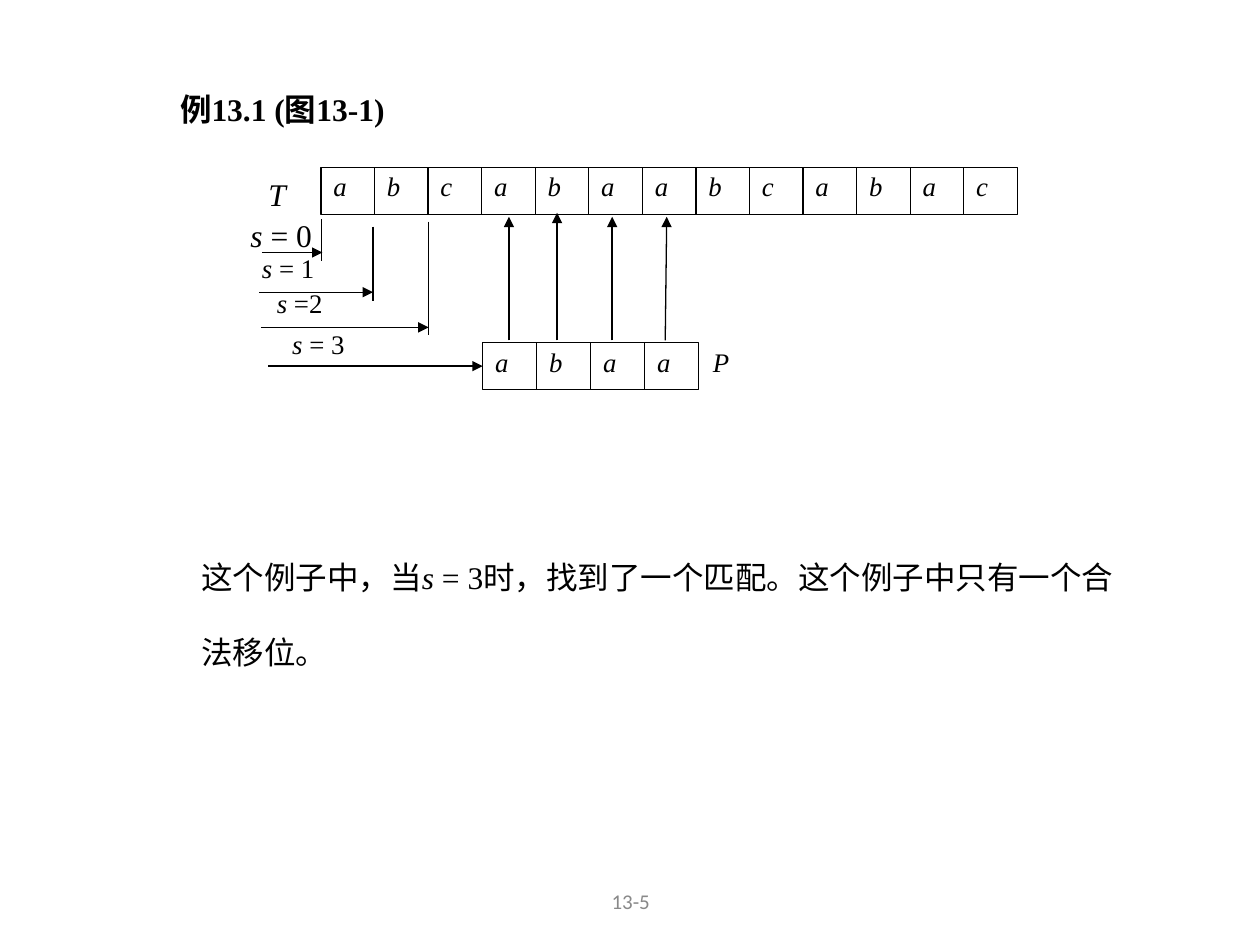
from pptx import Presentation
from pptx.dml.color import RGBColor
from pptx.enum.shapes import MSO_CONNECTOR as Link, MSO_SHAPE as Form
from pptx.enum.text import MSO_ANCHOR as Anchor, PP_ALIGN as Align
from pptx.oxml.ns import qn
from pptx.util import Cm, Pt
from lxml.etree import SubElement

BLACK = RGBColor(0x00, 0x00, 0x00)
GRAY = RGBColor(0x89, 0x89, 0x89)


def write(shape, *runs, size=18, font="Times New Roman", color=BLACK, bold=False,
          space=1.0, align=Align.LEFT, anchor=Anchor.TOP):
    """Fill a shape with one paragraph; each run is a (text, italic) pair."""
    frame = shape.text_frame
    frame.word_wrap = True
    frame.vertical_anchor = anchor
    para = frame.paragraphs[0]
    para.alignment = align
    para.line_spacing = space
    for text, slant in runs:
        run = para.add_run()
        run.text = text
        face = run.font
        face.name, face.size = font, Pt(size)
        face.bold, face.italic = bold, slant
        face.color.rgb = color


class Board:
    ink = BLACK
    width = Pt(0.75)
    small = {"size": 15.3, "space": 0.9}

    def __init__(self, slide):
        self.slide = slide

    def label(self, box, *runs, **style):
        area = self.slide.shapes.add_textbox(*map(Cm, box))
        write(area, *runs, **style)

    def cell(self, box, text):
        rect = self.slide.shapes.add_shape(Form.RECTANGLE, *map(Cm, box))
        rect.shadow.inherit = False
        rect.fill.background()
        rect.line.color.rgb = self.ink
        rect.line.width = self.width
        write(rect, (text, True), **self.small)
        return rect

    def row(self, text, left, top, step):
        """Draw one touching cell for each letter."""
        return [self.cell((left + i * step, top, step, 0.94), char)
                for i, char in enumerate(text)]

    def line(self, start, end, arrow=False):
        link = self.slide.shapes.add_connector(
            Link.STRAIGHT, *map(Cm, (*start, *end)))
        link.line.color.rgb = self.ink
        link.line.width = self.width
        if arrow:
            SubElement(link.line._get_or_add_ln(), qn("a:tailEnd"), type="triangle")
        SubElement(link._element.spPr, qn("a:effectLst"))
        return link


def main():
    deck = Presentation()
    deck.slide_width, deck.slide_height = Cm(25.4), Cm(19.05)
    board = Board(deck.slides.add_slide(deck.slide_layouts[6]))

    board.label((3.38, 1.7, 7.42, 1.02), ("例13.1 (图13-1)", False), bold=True)

    # Text row and pattern row
    board.label((5.16, 3.4, 1.42, 1.4), ("T", True))
    board.row("abcabaabcabac", 6.47, 3.38, 1.08)
    board.label((14.12, 6.91, 1.42, 0.94), ("P", True), **board.small)
    match = board.row("abaa", 9.73, 6.91, 1.09)

    # Matching letters
    for foot, tip, top in ((10.26, 10.26, 4.37), (11.23, 11.23, 4.29),
                           (12.34, 12.34, 4.37), (13.41, 13.44, 4.37)):
        board.line((foot, 6.86), (tip, top), arrow=True)

    # Shifts: label place, label text, arrow start, arrow end
    shifts = (
        ((4.8, 4.24), " = 0", (5.28, 5.09), (6.5, 5.09)),
        ((5.03, 5.03), " = 1", (5.23, 5.89), (7.52, 5.89)),
        ((5.33, 5.72), " =2", (5.26, 6.6), (8.64, 6.6)),
        ((5.64, 6.55), " = 3", (5.41, 7.38), (9.73, 7.38)),
    )
    for i, (place, text, start, end) in enumerate(shifts):
        style = board.small if i else {}
        board.label((*place, 2.11, 0.97), ("s", True), (text, False), **style)
        arrow = board.line(start, end, arrow=True)
    arrow.end_connect(match[0], 1)

    for x, top, low in ((6.48, 4.42, 5.26), (7.52, 4.57, 6.07), (8.64, 4.47, 6.76)):
        board.line((x, top), (x, low))

    board.label((3.81, 10.36, 19.05, 4.06), ("这个例子中，当", False), ("s", True),
                (" = 3时，找到了一个匹配。这个例子中只有一个合法移位。", False), space=2.0)
    board.label((8.69, 17.65, 8.05, 1.02), ("13-5", False), size=12, font="Calibri",
                color=GRAY, align=Align.CENTER, anchor=Anchor.MIDDLE)
    deck.save("out.pptx")


if __name__ == "__main__":
    main()
